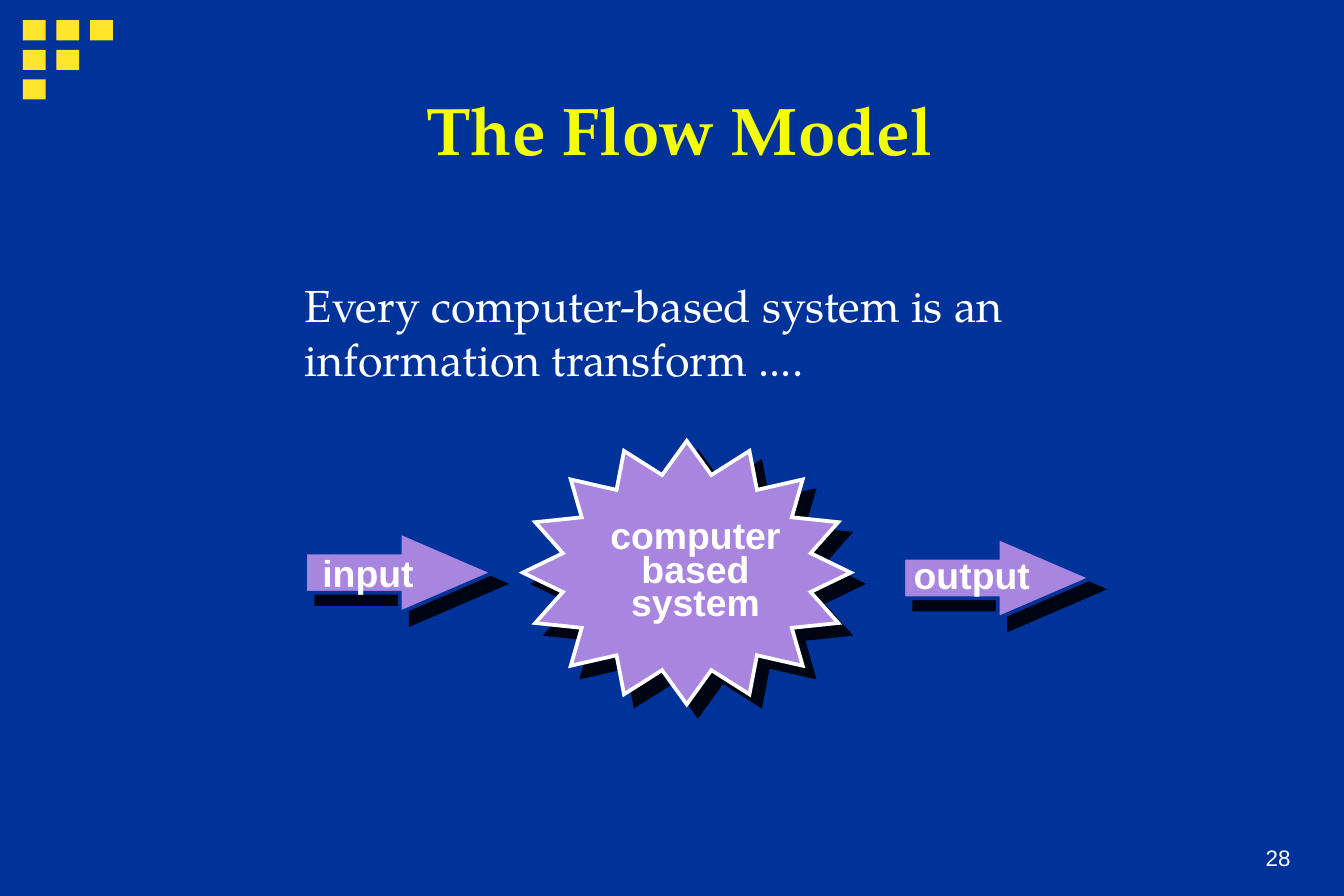
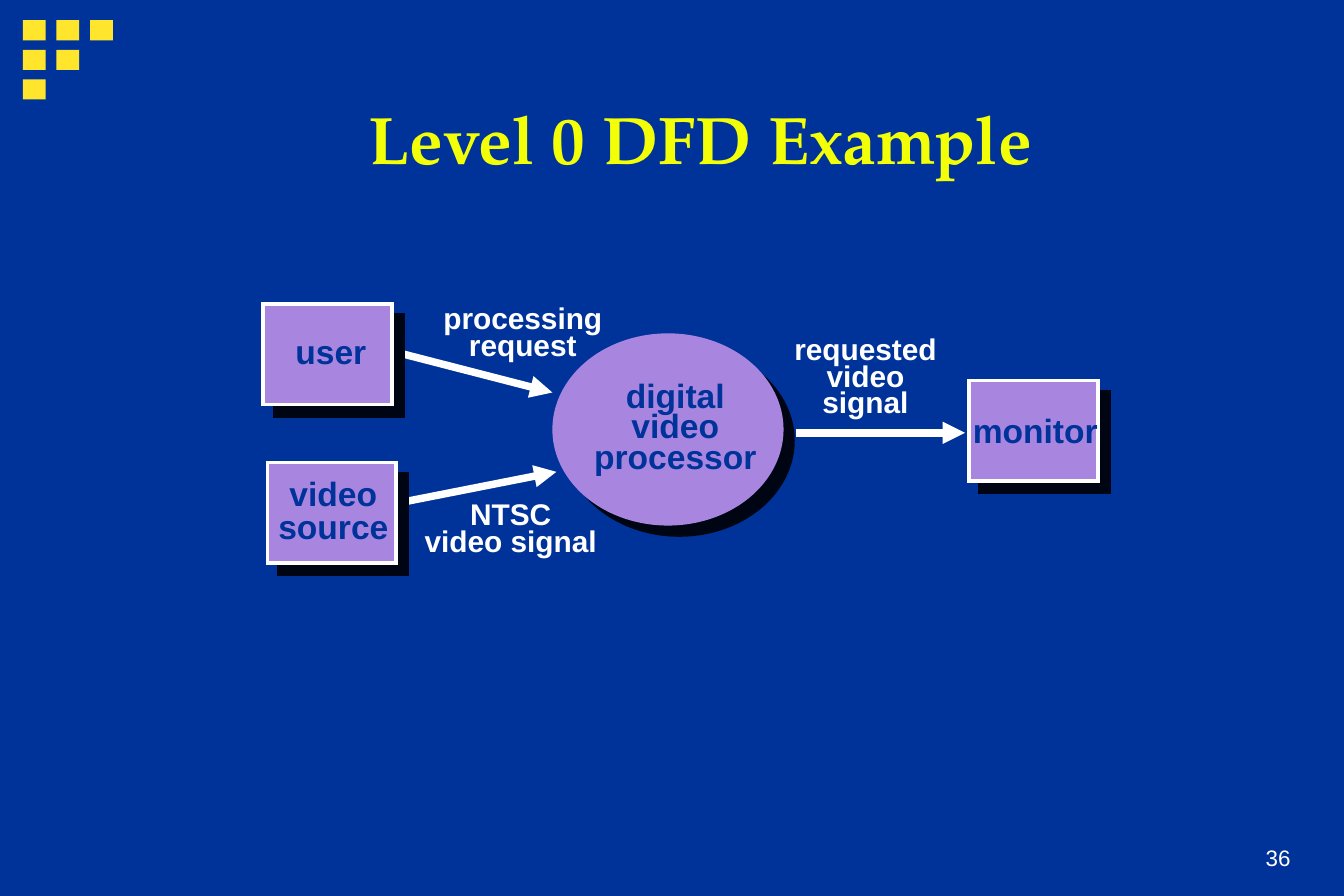
import math

import lxml.etree
import pptx
import pptx.dml.color
import pptx.enum.shapes
import pptx.enum.text
import pptx.oxml.ns
import pptx.util

Inches = pptx.util.Inches
Pt = pptx.util.Pt
KINDS = pptx.enum.shapes.MSO_SHAPE
ALIGN = pptx.enum.text.PP_ALIGN
ANCHOR = pptx.enum.text.MSO_ANCHOR
FIT = pptx.enum.text.MSO_AUTO_SIZE

NAVY, LILAC, BLACK, WHITE = "003399", "A886E0", "000514", "FFFFFF"
GOLD, YELLOW = "FFE62D", "F3FF07"
SERIF, SANS = "TeX Gyre Pagella", "Arial"

CORNER_ROWS = [3, 2, 1]
CORNER_START = (0.17, 0.15)
CORNER_STEP = (0.25, 0.22)
CORNER_SIZE = (0.17, 0.15)
NUMBER_BOX = (9.01, 6.07, 0.69, 0.46)

FLOW_MODEL = {
    "title": "The Flow Model",
    "title_box": (1.14, 0.33, 7.83, 1.25),
    "number": "28",
    "statement": ["Every computer-based system is an", "information transform ...."],
    "statement_box": (2.17, 2.02, 5.51, 0.9),
    "burst": {"center": (5.11, 4.26), "outer": (1.22, 0.98), "inner": (0.94, 0.74), "points": 16},
    "arrows": [(2.27, 3.96, 1.4, 0.6), (6.72, 4, 1.4, 0.6)],
    "labels": [
        (["computer", "based", "system"], (4.44, 3.84, 1.47, 0.85), 0.75),
        (["input"], (2.3, 4.04, 0.88, 0.43), None),
        (["output"], (6.7, 4.06, 1.08, 0.43), None),
    ],
}

DFD = {
    "title": "Level 0 DFD Example",
    "title_box": (1.67, 0.4, 7.08, 1.25),
    "number": "36",
    "processor": (4.11, 2.48, 1.72, 1.43),
    "flows": [
        ((2.83, 2.59), (4.11, 2.92)),
        ((2.82, 3.77), (4.14, 3.51)),
        ((5.92, 3.22), (7.18, 3.22)),
    ],
    "entity_size": (0.96, 0.75),
    "entity_corners": [(1.96, 2.26), (1.99, 3.44), (7.21, 2.83)],
    "node_labels": [
        (["user"], (2.1, 2.41, 0.73, 0.4), None),
        (["video", "source"], (1.97, 3.53, 1.02, 0.58), 0.8),
        (["digital", "video", "processor"], (4.32, 2.81, 1.41, 0.77), 0.75),
        (["monitor"], (7.14, 3, 1.13, 0.4), None),
    ],
    "flow_labels": [
        (["processing ", "request"], (3.17, 2.24, 1.44, 0.5), 0.75),
        (["NTSC", "video signal"], (3.06, 3.7, 1.48, 0.5), 0.75),
        (["requested", "video", "signal"], (5.81, 2.47, 1.26, 0.7), 0.75),
    ],
}


def rgb(color):
    return pptx.dml.color.RGBColor.from_string(color)


def inches(lengths):
    return [Inches(length) for length in lengths]


def add_element(parent, tag, **attributes):
    return lxml.etree.SubElement(parent, pptx.oxml.ns.qn(tag), **attributes)


def outline_element(shape):
    return shape.element.spPr.find(pptx.oxml.ns.qn("a:ln"))


def style(paragraph, size, color, face=SANS, bold=False, align=ALIGN.LEFT, spacing=None):
    paragraph.alignment = align
    if spacing:
        paragraph.line_spacing = spacing
    font = paragraph.font
    font.name, font.size, font.bold = face, Pt(size), bold
    font.color.rgb = rgb(color)


def paint(shape, fill, outline=None):
    shape.shadow.inherit = False
    shape.fill.solid()
    shape.fill.fore_color.rgb = rgb(fill)
    if outline:
        shape.line.color.rgb = rgb(outline)
        shape.line.width = Pt(2)
        add_element(outline_element(shape), "a:miter", lim="800000")
    else:
        shape.line.fill.background()


def drop_shadow(shape):
    effects = shape.element.spPr.find(pptx.oxml.ns.qn("a:effectLst"))
    shadow = add_element(effects, "a:outerShdw", dist=str(Pt(8.5)), dir="2700000",
                         algn="ctr", rotWithShape="0")
    add_element(shadow, "a:srgbClr", val=BLACK)


def add_node(slide, kind, box, outline=None):
    node = slide.shapes.add_shape(kind, *inches(box))
    paint(node, LILAC, outline)
    drop_shadow(node)
    return node


def add_label(slide, lines, box, size, color, spacing=None, face=SANS, bold=True):
    frame = slide.shapes.add_textbox(*inches(box)).text_frame
    frame.word_wrap = False
    frame.auto_size = FIT.SHAPE_TO_FIT_TEXT
    frame.text = "\n".join(lines)
    for paragraph in frame.paragraphs:
        style(paragraph, size, color, face, bold, ALIGN.CENTER if spacing else ALIGN.LEFT, spacing)


def add_burst(slide, center, outer, inner, points):
    corners = []
    for step in range(2 * points):
        angle = math.pi * step / points
        radii = inner if step % 2 else outer
        corners.append(inches((center[0] + radii[0] * math.sin(angle),
                               center[1] - radii[1] * math.cos(angle))))
    builder = slide.shapes.build_freeform(*corners[0])
    builder.add_line_segments(corners[1:], close=True)
    burst = builder.convert_to_shape()
    paint(burst, LILAC, WHITE)
    drop_shadow(burst)


def add_flow(slide, start, end):
    flow = slide.shapes.add_connector(pptx.enum.shapes.MSO_CONNECTOR.STRAIGHT, *inches(start + end))
    flow.line.color.rgb = rgb(WHITE)
    flow.line.width = Pt(4)
    add_element(outline_element(flow), "a:tailEnd", type="triangle")
    add_element(flow.element.spPr, "a:effectLst")


def add_slide(deck, layout, content):
    slide = deck.slides.add_slide(layout)
    title = slide.shapes.title
    title.left, title.top, title.width, title.height = inches(content["title_box"])
    title.text_frame.text = content["title"]
    title.text_frame.vertical_anchor = ANCHOR.MIDDLE
    title.text_frame.auto_size = FIT.NONE
    style(title.text_frame.paragraphs[0], 36, YELLOW, SERIF, True, ALIGN.CENTER)
    number = slide.shapes.add_textbox(*inches(NUMBER_BOX)).text_frame
    number.word_wrap = True
    number.vertical_anchor = ANCHOR.BOTTOM
    number.text = content["number"]
    style(number.paragraphs[0], 12, WHITE, align=ALIGN.RIGHT)
    return slide


def add_corner(slide, layout):
    for row, count in enumerate(CORNER_ROWS):
        for column in range(count):
            left = CORNER_START[0] + column * CORNER_STEP[0]
            top = CORNER_START[1] + row * CORNER_STEP[1]
            square = slide.shapes.add_shape(KINDS.RECTANGLE, *inches((left, top) + CORNER_SIZE))
            paint(square, GOLD)
            layout.shapes.element.append(square.element)


def draw_flow_model(slide):
    add_label(slide, FLOW_MODEL["statement"], FLOW_MODEL["statement_box"], 24, WHITE,
              face=SERIF, bold=False)
    add_burst(slide, **FLOW_MODEL["burst"])
    for box in FLOW_MODEL["arrows"]:
        arrow = add_node(slide, KINDS.RIGHT_ARROW, box, NAVY)
        arrow.adjustments[1] = 1.16
    for lines, box, spacing in FLOW_MODEL["labels"]:
        add_label(slide, lines, box, 20, WHITE, spacing)


def draw_dfd(slide):
    add_node(slide, KINDS.OVAL, DFD["processor"])
    for start, end in DFD["flows"]:
        add_flow(slide, start, end)
    for corner in DFD["entity_corners"]:
        add_node(slide, KINDS.RECTANGLE, corner + DFD["entity_size"], WHITE)
    for group, size, color in (("node_labels", 18, NAVY), ("flow_labels", 16, WHITE)):
        for lines, box, spacing in DFD[group]:
            add_label(slide, lines, box, size, color, spacing)


def main():
    deck = pptx.Presentation()
    deck.slide_width, deck.slide_height = Inches(10), Pt(479.87)
    backdrop = deck.slide_master.background.fill
    backdrop.solid()
    backdrop.fore_color.rgb = rgb(NAVY)
    layout = deck.slide_layouts.get_by_name("Title Only")
    flow_model = add_slide(deck, layout, FLOW_MODEL)
    add_corner(flow_model, layout)
    draw_flow_model(flow_model)
    draw_dfd(add_slide(deck, layout, DFD))
    deck.save("out.pptx")


if __name__ == "__main__":
    main()
